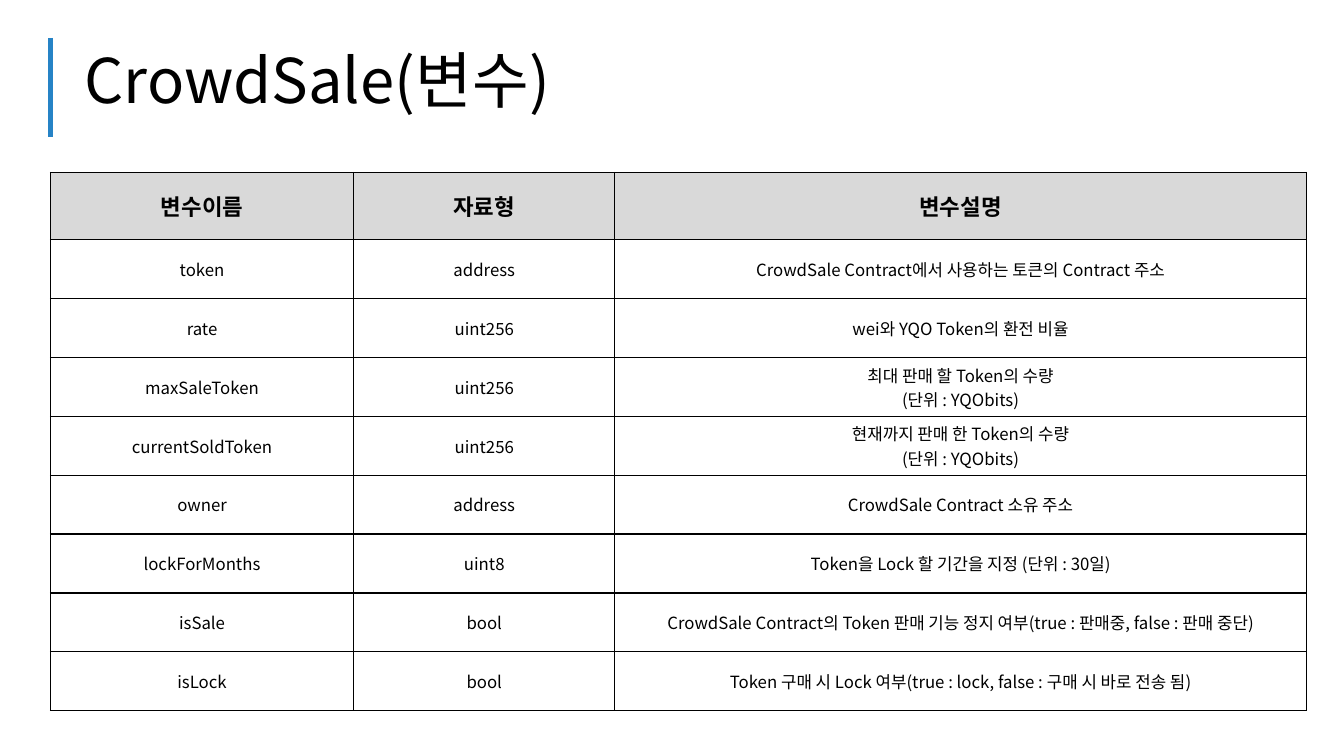
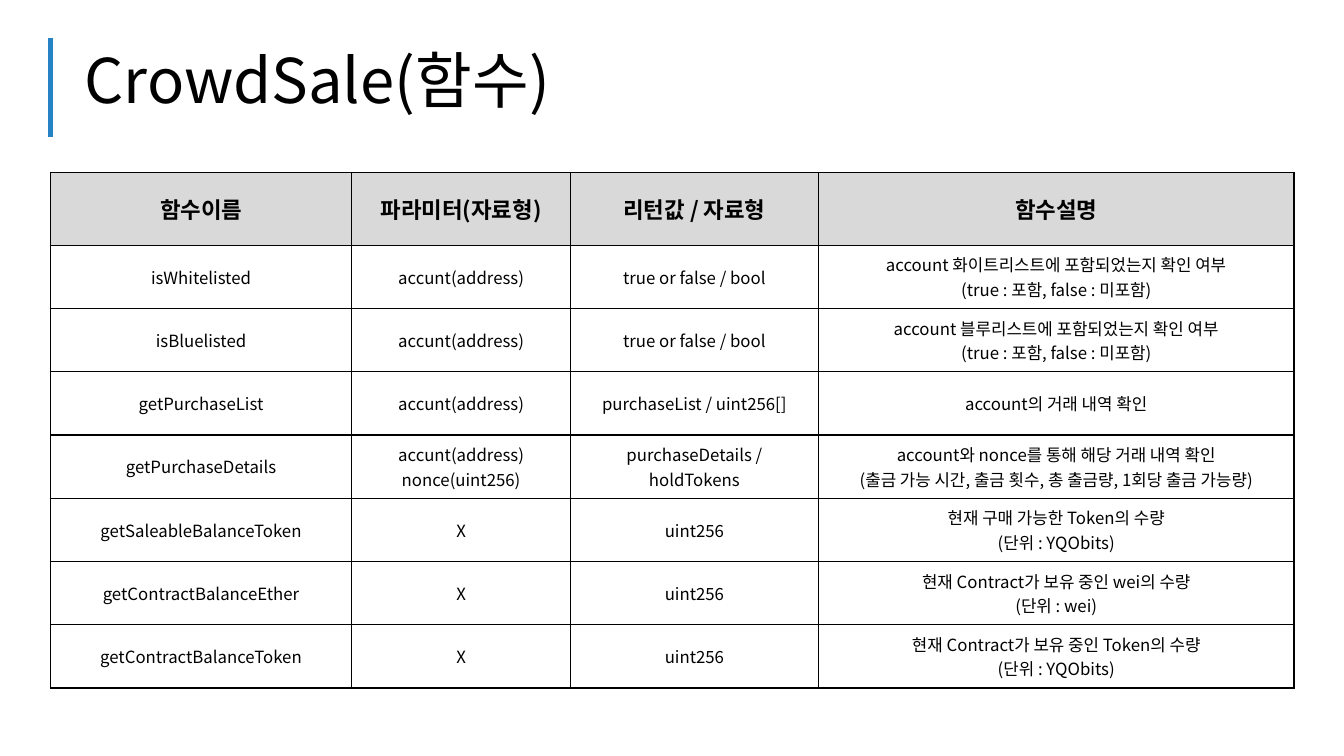
from lxml import etree
from pptx import Presentation
from pptx.dml.color import RGBColor
from pptx.enum.shapes import MSO_CONNECTOR
from pptx.enum.text import MSO_ANCHOR, MSO_AUTO_SIZE, PP_ALIGN
from pptx.oxml.ns import qn
from pptx.util import Pt

STRAIGHT = MSO_CONNECTOR.STRAIGHT
MIDDLE = MSO_ANCHOR.MIDDLE
CENTER = PP_ALIGN.CENTER
GROW = MSO_AUTO_SIZE.SHAPE_TO_FIT_TEXT

BLACK = RGBColor(0x00, 0x00, 0x00)
ACCENT = RGBColor(0x26, 0x83, 0xC6)
HEADER_GRAY = RGBColor(0xD9, 0xD9, 0xD9)
FONT = "Noto Sans CJK KR"
LEFT = 36
TABLE_TOP = 123.1

VARIABLES = [
    ("변수이름", "자료형", "변수설명"),
    ("token", "address", "CrowdSale Contract에서 사용하는 토큰의 Contract 주소"),
    ("rate", "uint256", "wei와 YQO Token의 환전 비율"),
    ("maxSaleToken", "uint256", "최대 판매 할 Token의 수량\n(단위 : YQObits)"),
    ("currentSoldToken", "uint256", "현재까지 판매 한 Token의 수량\n(단위 : YQObits)"),
    ("owner", "address", "CrowdSale Contract 소유 주소"),
    ("lockForMonths", "uint8", "Token을 Lock 할 기간을 지정 (단위 : 30일)"),
    ("isSale", "bool",
     "CrowdSale Contract의 Token 판매 기능 정지 여부(true : 판매중, false : 판매 중단)"),
    ("isLock", "bool", "Token 구매 시 Lock 여부(true : lock, false : 구매 시 바로 전송 됨)"),
]

FUNCTIONS = [
    ("함수이름", "파라미터(자료형)", "리턴값 / 자료형", "함수설명"),
    ("isWhitelisted", "accunt(address)", "true or false / bool",
     "account 화이트리스트에 포함되었는지 확인 여부\n(true : 포함, false : 미포함)"),
    ("isBluelisted", "accunt(address)", "true or false / bool",
     "account 블루리스트에 포함되었는지 확인 여부\n(true : 포함, false : 미포함)"),
    ("getPurchaseList", "accunt(address)", "purchaseList / uint256[]",
     "account의 거래 내역 확인"),
    ("getPurchaseDetails", "accunt(address)\nnonce(uint256)",
     "purchaseDetails / holdTokens",
     "account와 nonce를 통해 해당 거래 내역 확인\n"
     "(출금 가능 시간, 출금 횟수, 총 출금량, 1회당 출금 가능량)"),
    ("getSaleableBalanceToken", "X", "uint256",
     "현재 구매 가능한 Token의 수량\n(단위 : YQObits)"),
    ("getContractBalanceEther", "X", "uint256",
     "현재 Contract가 보유 중인 wei의 수량\n(단위 : wei)"),
    ("getContractBalanceToken", "X", "uint256",
     "현재 Contract가 보유 중인 Token의 수량\n(단위 : YQObits)"),
]


class DeckBuilder:
    """Builds reference pages with a ruled title and a bordered table."""

    def __init__(self):
        self.deck = Presentation()
        self.deck.slide_width = Pt(960)
        self.deck.slide_height = Pt(540)
        self.page = None

    def add_page(self, title):
        self.page = self.deck.slides.add_slide(self.deck.slide_layouts[6])
        self.add_rule()
        self.add_title(title)

    def add_rule(self):
        rule = self.page.shapes.add_connector(
            STRAIGHT, Pt(LEFT), Pt(27), Pt(LEFT), Pt(98))
        rule.line.color.rgb = ACCENT
        rule.line.width = Pt(3)
        etree.SubElement(rule._element.spPr, qn("a:effectLst"))

    def add_title(self, title):
        box = self.page.shapes.add_textbox(Pt(53.3), Pt(32.4), Pt(593.3), Pt(60.5))
        frame = box.text_frame
        frame.word_wrap = True
        frame.auto_size = GROW
        para = frame.paragraphs[0]
        para.line_spacing = 0.9
        self.add_span(para, title, 44)

    def add_span(self, para, text, size, bold=False):
        span = para.add_run()
        span.text = text
        span.font.name = FONT
        span.font.size = Pt(size)
        span.font.bold = bold
        span.font.color.rgb = BLACK
        east_asian = etree.SubElement(span.font._element, qn("a:ea"))
        east_asian.set("typeface", FONT)

    def add_table(self, rows, widths, header_height, row_height):
        heights = [header_height] + [row_height] * (len(rows) - 1)
        table = self.page.shapes.add_table(
            len(rows), len(widths), Pt(LEFT), Pt(TABLE_TOP),
            Pt(sum(widths)), Pt(sum(heights))).table
        table.first_row = False
        table.horz_banding = False
        for column, width in zip(table.columns, widths):
            column.width = Pt(width)
        for row, height in zip(table.rows, heights):
            row.height = Pt(height)
        for row_index, texts in enumerate(rows):
            for column_index, text in enumerate(texts):
                self.fill_cell(table.cell(row_index, column_index), text, row_index == 0)

    def fill_cell(self, cell, text, header):
        self.add_borders(cell)
        if header:
            cell.fill.solid()
            cell.fill.fore_color.rgb = HEADER_GRAY
        else:
            cell.fill.background()
        cell.vertical_anchor = MIDDLE
        frame = cell.text_frame
        for index, line in enumerate(text.split("\n")):
            para = frame.add_paragraph() if index else frame.paragraphs[0]
            para.alignment = CENTER
            self.add_span(para, line, 16 if header else 12, header)

    def add_borders(self, cell):
        properties = cell._tc.get_or_add_tcPr()
        for side in ("a:lnL", "a:lnR", "a:lnT", "a:lnB"):
            border = etree.SubElement(properties, qn(side), w=str(Pt(1)))
            fill = etree.SubElement(border, qn("a:solidFill"))
            etree.SubElement(fill, qn("a:srgbClr"), val=str(BLACK))


def main():
    builder = DeckBuilder()
    builder.add_page("CrowdSale(변수)")
    builder.add_table(VARIABLES, (216.7, 186.5, 493.9), 48.2, 42.04)
    builder.add_page("CrowdSale(함수)")
    builder.add_table(FUNCTIONS, (215.3, 156.2, 177.1, 339.8), 52, 45.2)
    builder.deck.save("out.pptx")


if __name__ == "__main__":
    main()
